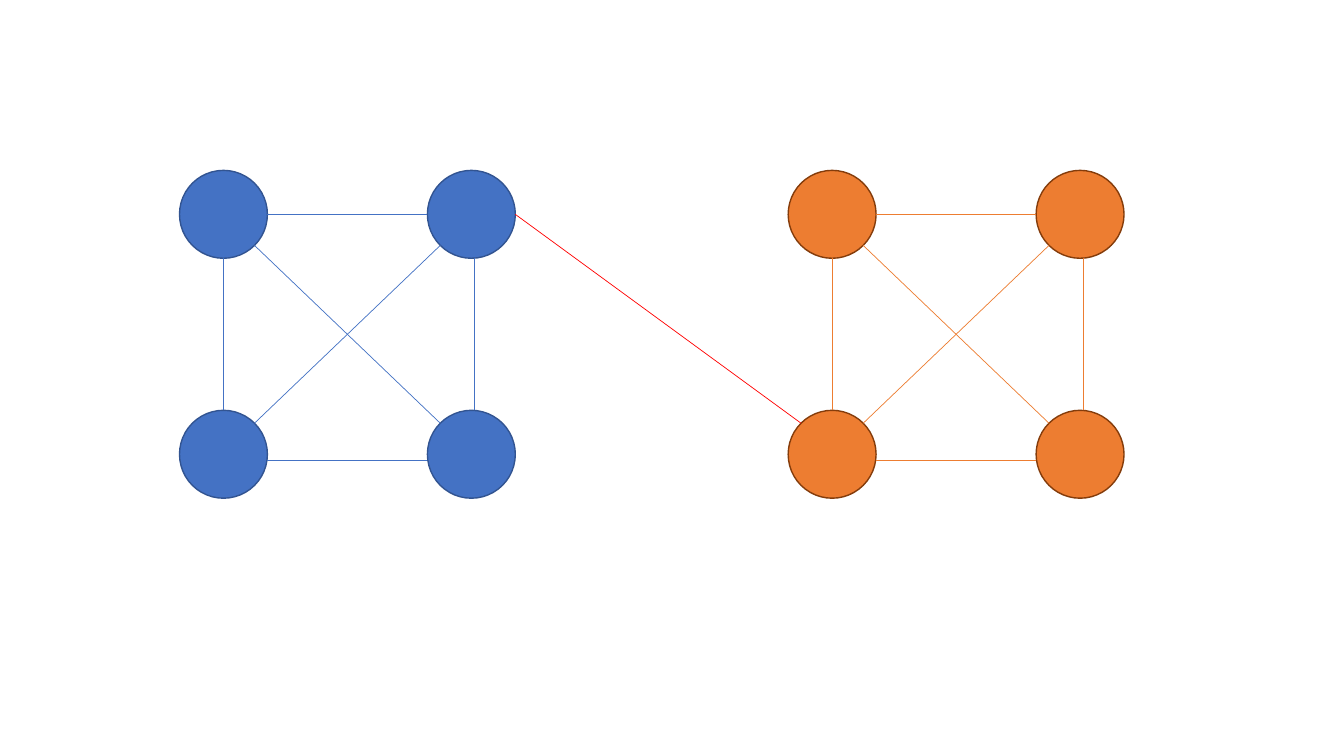
from itertools import product
from math import sqrt

from lxml import etree
from pptx import Presentation
from pptx.dml.color import RGBColor
from pptx.enum.shapes import MSO_CONNECTOR, MSO_SHAPE
from pptx.oxml.ns import qn
from pptx.util import Pt

OVAL = MSO_SHAPE.OVAL
STRAIGHT = MSO_CONNECTOR.STRAIGHT

COLORS = {
    "blue": "4472C4",
    "blue outline": "325491",
    "orange": "ED7D31",
    "orange outline": "843C0B",
    "bridge": "FF0000",
}

DIAMETER = 62.8
RADIUS = DIAMETER / 2
INSET = RADIUS * (1 - 1 / sqrt(2))  # from a node's box to its rim on the diagonal
STEP_X, STEP_Y = 177.1, 171.4
TOP = 121.7
BLUE_LEFT, ORANGE_LEFT = 128.2, 563
BOTTOM_SHIFT, RIGHT_SHIFT = 4.6, 2.4  # edges drawn slightly off the node centres


def color(name):
    """Return the named colour."""
    return RGBColor.from_string(COLORS[name])


def add_node(slide, left, top, name):
    """Draw one round node."""
    node = slide.shapes.add_shape(OVAL, Pt(left), Pt(top), Pt(DIAMETER), Pt(DIAMETER))
    node.shadow.inherit = False
    node.fill.solid()
    node.fill.fore_color.rgb = color(name)
    node.line.color.rgb = color(name + " outline")
    node.line.width = Pt(1)


def add_edge(slide, start, end, name):
    """Draw a thin straight edge between two points."""
    edge = slide.shapes.add_connector(STRAIGHT, *(Pt(length) for length in start + end))
    edge.line.color.rgb = color(name)
    edge.line.width = Pt(0.5)
    etree.SubElement(edge._element.spPr, qn("a:effectLst"))


def add_cluster(slide, left, name):
    """Draw four nodes in a square, each joined to all the others."""
    for column, row in product(range(2), repeat=2):
        add_node(slide, left + column * STEP_X, TOP + row * STEP_Y, name)

    near_x, far_x = left + DIAMETER - INSET, left + STEP_X + INSET
    near_y, far_y = TOP + DIAMETER - INSET, TOP + STEP_Y + INSET
    add_edge(slide, (near_x, near_y), (far_x, far_y), name)
    add_edge(slide, (near_x, far_y), (far_x, near_y), name)
    for y in (TOP + RADIUS, TOP + STEP_Y + RADIUS + BOTTOM_SHIFT):
        add_edge(slide, (left + DIAMETER, y), (left + STEP_X, y), name)
    for x in (left + RADIUS, left + STEP_X + RADIUS + RIGHT_SHIFT):
        add_edge(slide, (x, TOP + STEP_Y), (x, TOP + DIAMETER), name)


def main():
    """Build two clusters joined by a single bridge."""
    deck = Presentation()
    deck.slide_width, deck.slide_height = Pt(960), Pt(540)
    slide = deck.slides.add_slide(deck.slide_layouts[6])
    add_cluster(slide, BLUE_LEFT, "blue")
    add_cluster(slide, ORANGE_LEFT, "orange")
    bridge_start = (BLUE_LEFT + STEP_X + DIAMETER, TOP + RADIUS)
    bridge_end = (ORANGE_LEFT + INSET, TOP + STEP_Y + INSET)
    add_edge(slide, bridge_start, bridge_end, "bridge")
    deck.save("out.pptx")


main()
